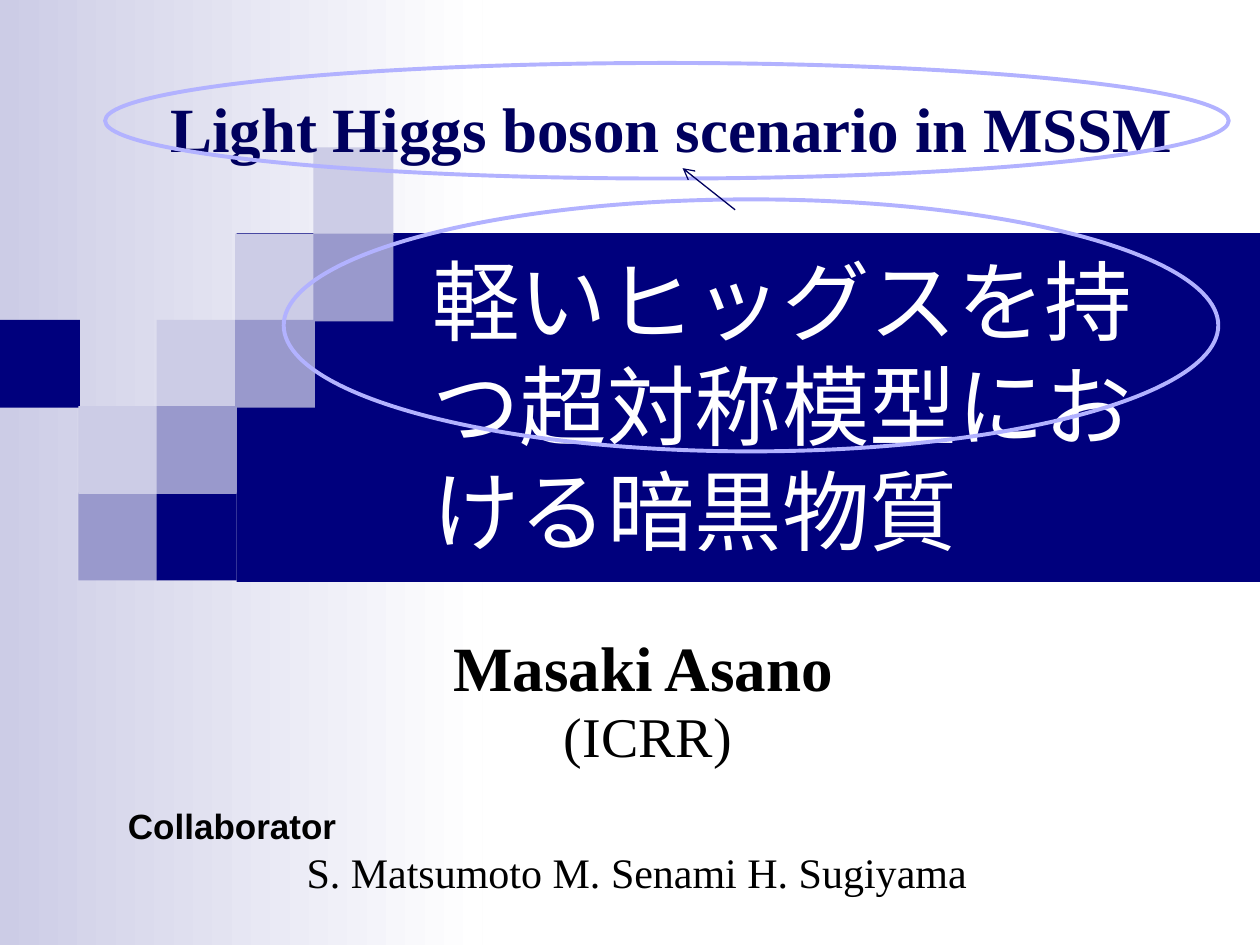
from lxml import etree
from pptx import Presentation
from pptx.dml.color import RGBColor
from pptx.enum.shapes import MSO_CONNECTOR, MSO_SHAPE
from pptx.enum.text import MSO_ANCHOR
from pptx.oxml.ns import qn
from pptx.util import Cm, Pt

RECT, OVAL = MSO_SHAPE.RECTANGLE, MSO_SHAPE.OVAL
STRAIGHT = MSO_CONNECTOR.STRAIGHT
TOP, MIDDLE = MSO_ANCHOR.TOP, MSO_ANCHOR.MIDDLE

COLORS = {
    "navy": "00007D", "ink": "00005E", "mid": "9999CC", "pale": "CCCCE6",
    "ring": "B2B2FF", "white": "FFFFFF", "black": "000000",
}
SERIF, SANS = "Times New Roman", "Arial"
COL, ROW, GRID_TOP = 1.58, 1.74, 2.97
TILE_W, TILE_H = 1.61, 1.77
TILES = [
    (1, 4, "mid"), (3, 1, "pale"), (4, 0, "pale"), (2, 4, "navy"),
    (4, 1, "mid"), (2, 2, "pale"), (0, 2, "navy"), (3, 2, "mid"),
    (1, 3, "pale"), (2, 3, "mid"),
]


def rgb(name):
    """Return the palette colour called name."""
    return RGBColor.from_string(COLORS[name])


def add_block(s, x, y, w, h, color):
    """Add a plain filled rectangle."""
    sp = s.shapes.add_shape(RECT, Cm(x), Cm(y), Cm(w), Cm(h))
    sp.shadow.inherit = False
    sp.line.fill.background()
    sp.fill.solid()
    sp.fill.fore_color.rgb = rgb(color)
    return sp


def add_fade(s, x, y, w, h, start, end):
    """Add a rectangle that fades from left to right."""
    sp = add_block(s, x, y, w, h, start)
    sp.fill.gradient()
    sp.fill.gradient_angle = 0
    for stop, color, position in zip(sp.fill.gradient_stops, (start, end), (0, 1)):
        stop.color.rgb = rgb(color)
        stop.position = position


def add_ring(s, x, y, w, h):
    """Add an outlined ellipse."""
    sp = s.shapes.add_shape(OVAL, Cm(x), Cm(y), Cm(w), Cm(h))
    sp.shadow.inherit = False
    sp.fill.background()
    sp.line.color.rgb = rgb("ring")
    sp.line.width = Pt(2.25)


def add_arrow(s, x1, y1, x2, y2):
    """Add a thin line with an open arrowhead at its end."""
    line = s.shapes.add_connector(STRAIGHT, Cm(x1), Cm(y1), Cm(x2), Cm(y2))
    line.line.color.rgb = rgb("ink")
    line.line.width = Pt(0.75)
    etree.SubElement(line.line._get_or_add_ln(), qn("a:tailEnd"), type="arrow")
    etree.SubElement(line._element.spPr, qn("a:effectLst"))


def add_textbox(s, x, y, w, h, anchor=TOP):
    """Add an empty wrapping text box and return its text frame."""
    tf = s.shapes.add_textbox(Cm(x), Cm(y), Cm(w), Cm(h)).text_frame
    tf.word_wrap = True
    tf.vertical_anchor = anchor
    return tf


def add_run(p, text, size, font, color, bold=False):
    """Add one formatted run to a paragraph."""
    r = p.add_run()
    r.text = text
    r.font.size = Pt(size)
    r.font.name = font
    r.font.bold = bold
    r.font.color.rgb = rgb(color)
    etree.SubElement(r.font._element, qn("a:ea"), typeface=font)


def add_label(s, x, y, w, h, text, size, font, color, bold=False, anchor=TOP):
    """Add a text box holding a single run."""
    tf = add_textbox(s, x, y, w, h, anchor)
    add_run(tf.paragraphs[0], text, size, font, color, bold)


def add_background(s):
    """Draw the fade, the title band and the stepped tiles."""
    add_fade(s, 0, 0, 9.73, 19.05, "pale", "white")
    add_block(s, 4.77, 4.7, 20.63, 7.03, "navy")
    for col, row, color in TILES:
        add_block(s, col * COL, GRID_TOP + row * ROW, TILE_W, TILE_H, color)


def add_author(s):
    """Add the author's name with the institute below it."""
    tf = add_textbox(s, 8.89, 12.9, 8.26, 2.74)
    name, institute = tf.paragraphs[0], tf.add_paragraph()
    name.line_spacing = institute.line_spacing = 0.75
    institute.space_before = Pt(8)
    institute._p.get_or_add_pPr().set("marL", str(Cm(2.23)))
    add_run(name, "Masaki Asano", 36, SERIF, "black", True)
    add_run(institute, "(ICRR)", 32, SERIF, "black")


def main():
    """Build the title slide."""
    prs = Presentation()
    prs.slide_width, prs.slide_height = Cm(25.4), Cm(19.05)
    s = prs.slides.add_slide(prs.slide_layouts[6])
    add_background(s)
    add_label(s, 8.46, 5.08, 16.3, 6.15, "軽いヒッグスを持つ超対称模型における暗黒物質",
              50, SANS, "white", anchor=MIDDLE)
    add_author(s)
    add_label(s, 2.33, 16.09, 5.08, 1.06, "Collaborator", 20, SANS, "black", True)
    add_label(s, 5.93, 16.93, 13.97, 1.48, "S. Matsumoto M. Senami H. Sugiyama",
              24, SERIF, "black")
    add_ring(s, 5.72, 4.02, 18.84, 5.08)
    add_label(s, 3.18, 1.69, 21.17, 2.12, "Light Higgs boson scenario in MSSM",
              36, SERIF, "ink", True)
    add_ring(s, 2.12, 1.27, 22.65, 2.33)
    add_arrow(s, 14.82, 4.23, 13.76, 3.39)
    prs.save("out.pptx")


if __name__ == "__main__":
    main()
